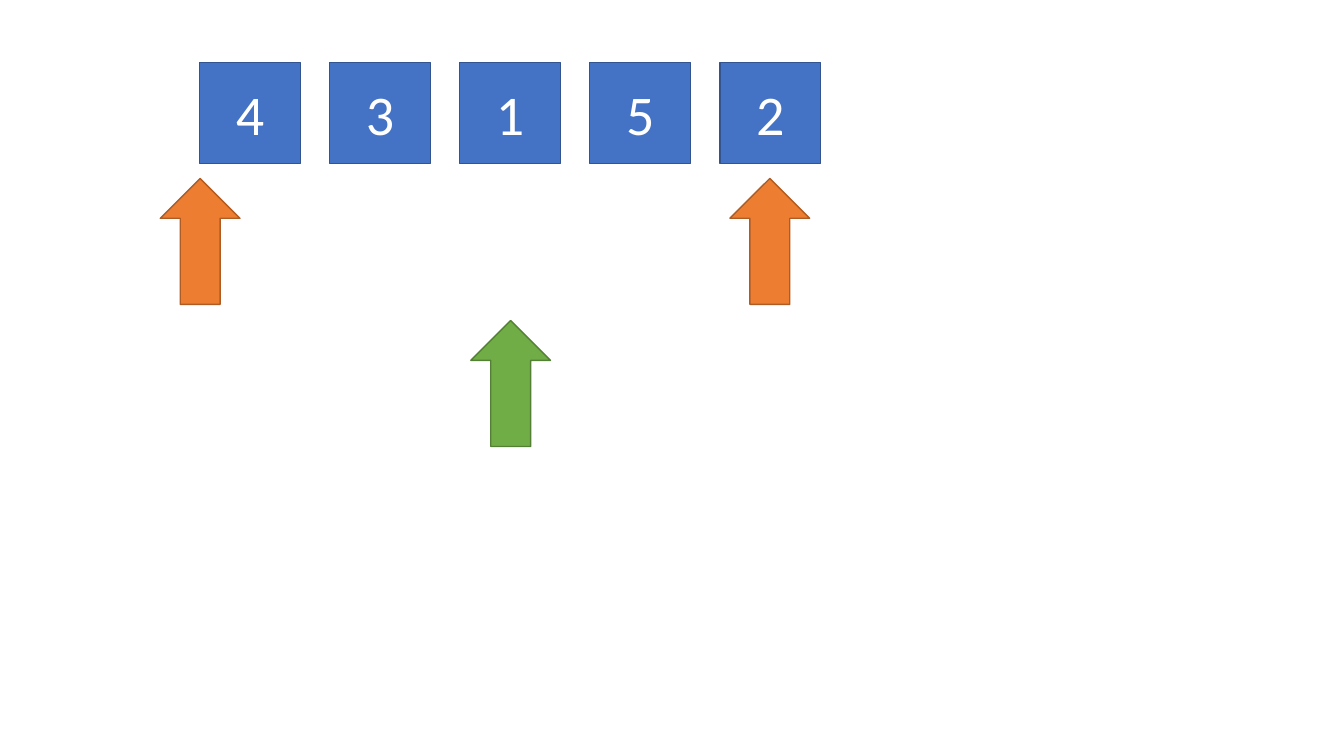
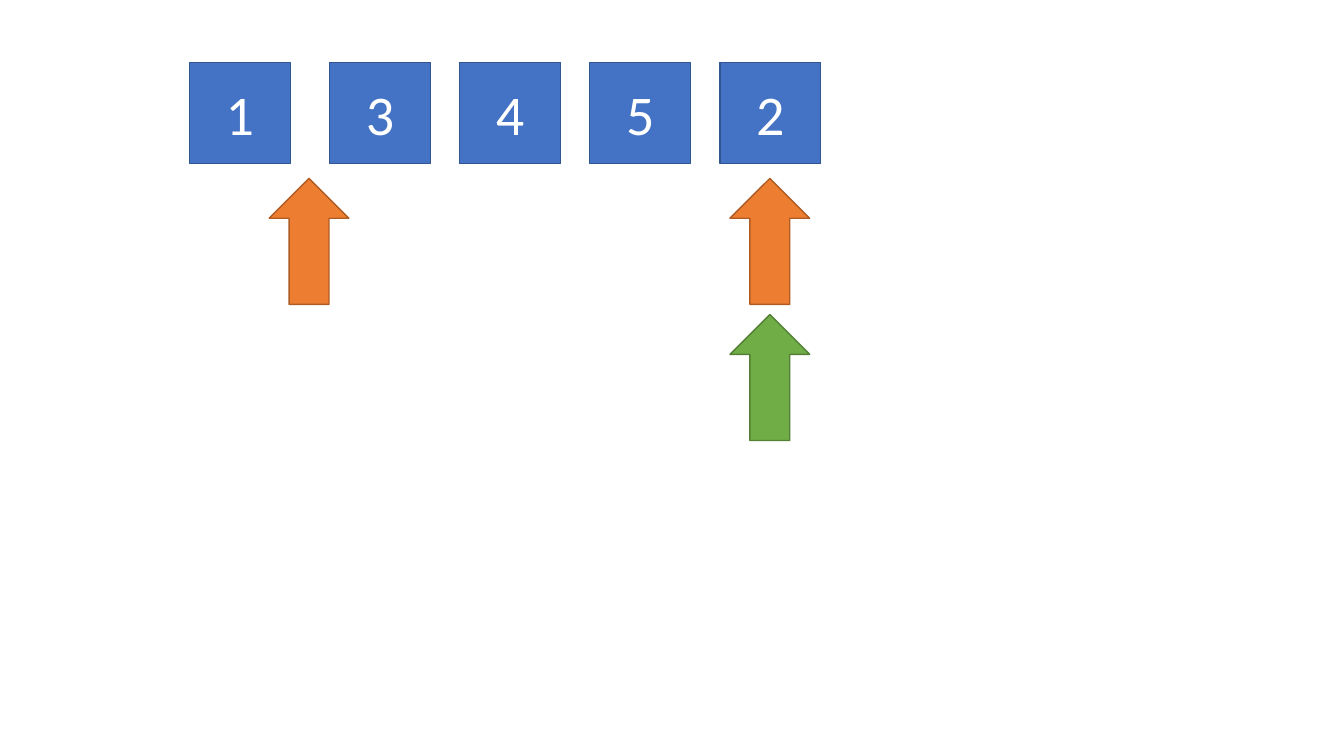
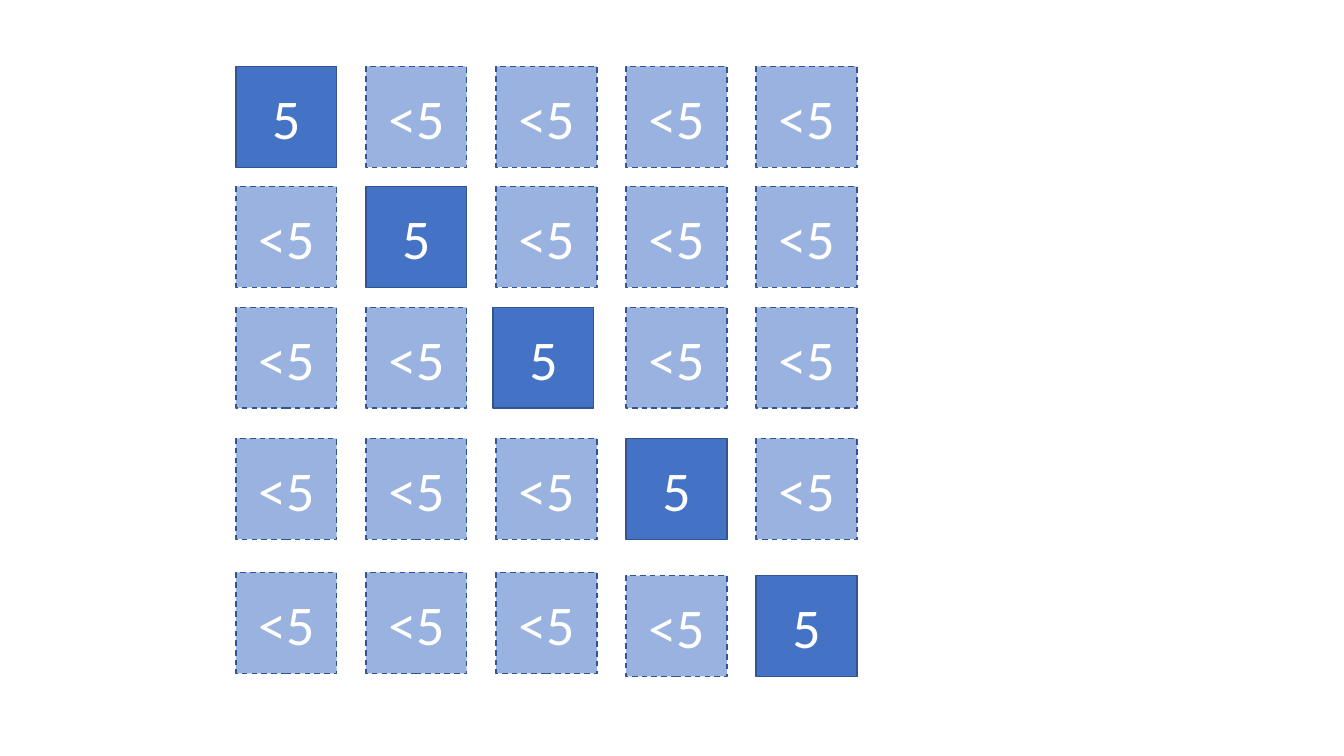
from pptx import Presentation
from pptx.dml.color import RGBColor
from pptx.enum.dml import MSO_LINE
from pptx.enum.shapes import MSO_SHAPE
from pptx.enum.text import MSO_ANCHOR, PP_ALIGN
from pptx.oxml.ns import qn
from pptx.util import Inches, Pt
from lxml.etree import SubElement

WHITE = RGBColor(0xFF, 0xFF, 0xFF)
BLUE = RGBColor(0x44, 0x72, 0xC4)
NAVY = RGBColor(0x32, 0x54, 0x91)
ORANGE = RGBColor(0xED, 0x7D, 0x31)
RUST = RGBColor(0xAF, 0x5C, 0x24)
GREEN = RGBColor(0x70, 0xAD, 0x47)
MOSS = RGBColor(0x53, 0x80, 0x35)

SIDE = 1
STEP = 1.29
ARROW_W, ARROW_H = 0.79, 1.25
GRID_LEFT = 2.34
GRID_TOPS = (0.66, 1.85, 3.05, 4.35, 5.68)
# Offsets from the regular grid, by (row, column)
NUDGES = {(2, 2): (-0.03, 0), (4, 3): (0, 0.03), (4, 4): (0, 0.03)}


def add_block(slide, kind, box, fill, edge):
    shape = slide.shapes.add_shape(kind, *map(Inches, box))
    shape.shadow.inherit = False
    shape.fill.solid()
    shape.fill.fore_color.rgb = fill
    shape.line.color.rgb = edge
    shape.line.width = Pt(1)
    return shape


def add_cell(slide, left, top, label, faded=False):
    """Add a labelled square; a faded one is translucent and dashed."""
    cell = add_block(slide, MSO_SHAPE.RECTANGLE, (left, top, SIDE, SIDE), BLUE, NAVY)
    if faded:
        cell.line.dash_style = MSO_LINE.DASH
        color = cell.fill._xPr.find(qn("a:solidFill"))[0]
        SubElement(color, qn("a:alpha")).set("val", "54000")
    frame = cell.text_frame
    frame.text = label
    frame.vertical_anchor = MSO_ANCHOR.MIDDLE
    para = frame.paragraphs[0]
    para.alignment = PP_ALIGN.CENTER
    font = para.runs[0].font
    font.name = "Calibri"
    font.size = Pt(40)
    font.color.rgb = WHITE


def add_arrow(slide, left, top, fill, edge):
    box = (left, top, ARROW_W, ARROW_H)
    arrow = add_block(slide, MSO_SHAPE.DOWN_ARROW, box, fill, edge)
    arrow.rotation = 180


def add_row(slide, left, top, digits, shift=0):
    """Add a row of digits, with the first square moved by shift."""
    for col, digit in enumerate(digits):
        move = shift if col == 0 else 0
        add_cell(slide, left + col * STEP + move, top, digit)


def add_swap(slide, digits, shift, start, pivot):
    """Add the array, its two range arrows and the green pivot arrow."""
    add_row(slide, 1.98, 0.62, digits, shift)
    for left in (start, 7.24):
        add_arrow(slide, left, 1.77, ORANGE, RUST)
    add_arrow(slide, *pivot, GREEN, MOSS)


def add_grid(slide, left, tops):
    """Add one row per case, with the largest value on the diagonal."""
    for row, top in enumerate(tops):
        for col in range(len(tops)):
            dx, dy = NUDGES.get((row, col), (0, 0))
            faded = row != col
            label = "<5" if faded else "5"
            add_cell(slide, left + col * STEP + dx, top + dy, label, faded)


def main():
    deck = Presentation()
    deck.slide_width = Inches(13.33)
    deck.slide_height = Inches(7.5)
    blank = deck.slide_layouts[6]
    add_swap(deck.slides.add_slide(blank), "43152", 0, 1.59, (4.67, 3.18))
    add_swap(deck.slides.add_slide(blank), "13452", -0.1, 2.67, (7.24, 3.12))
    add_grid(deck.slides.add_slide(blank), GRID_LEFT, GRID_TOPS)
    deck.save("out.pptx")


if __name__ == "__main__":
    main()
